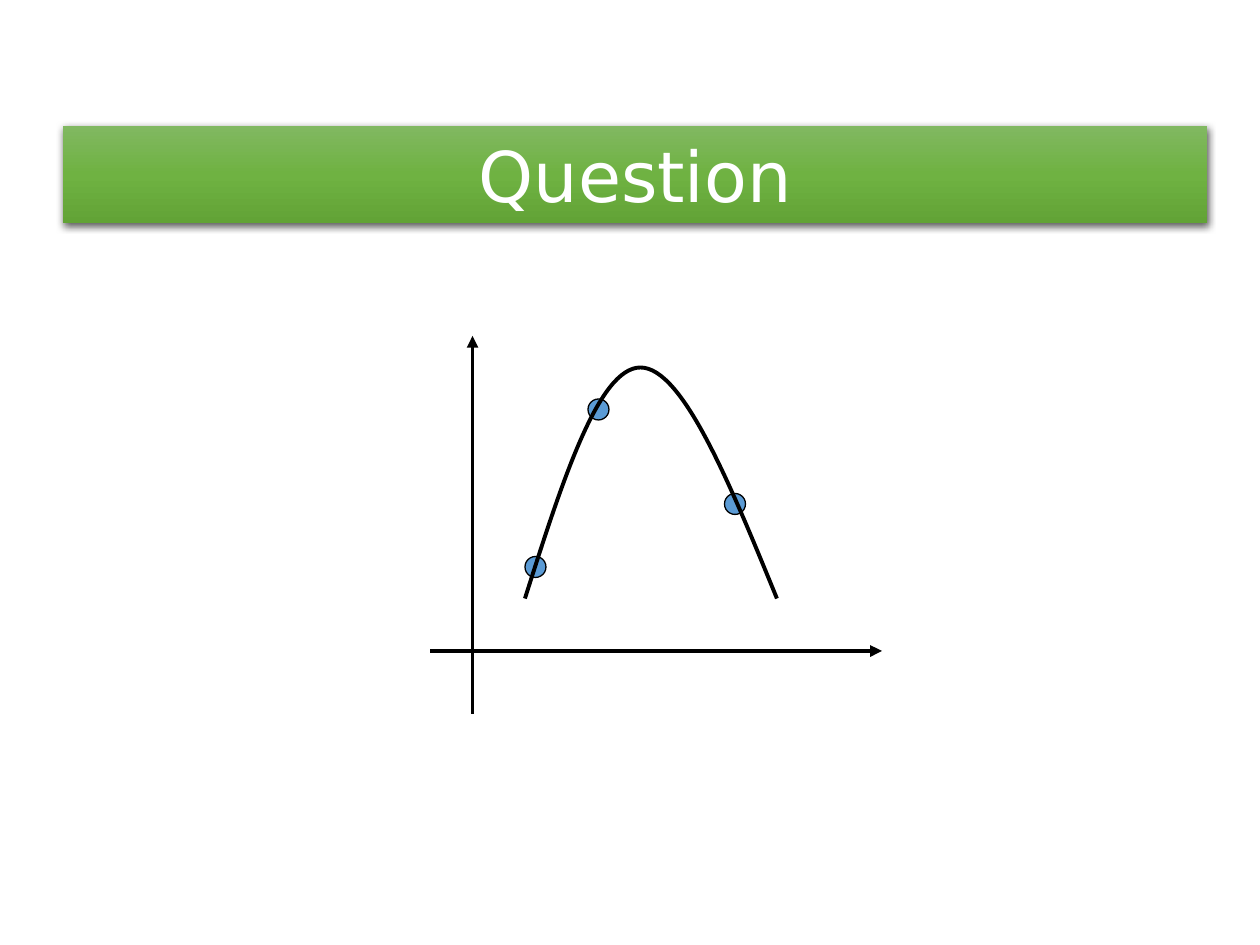
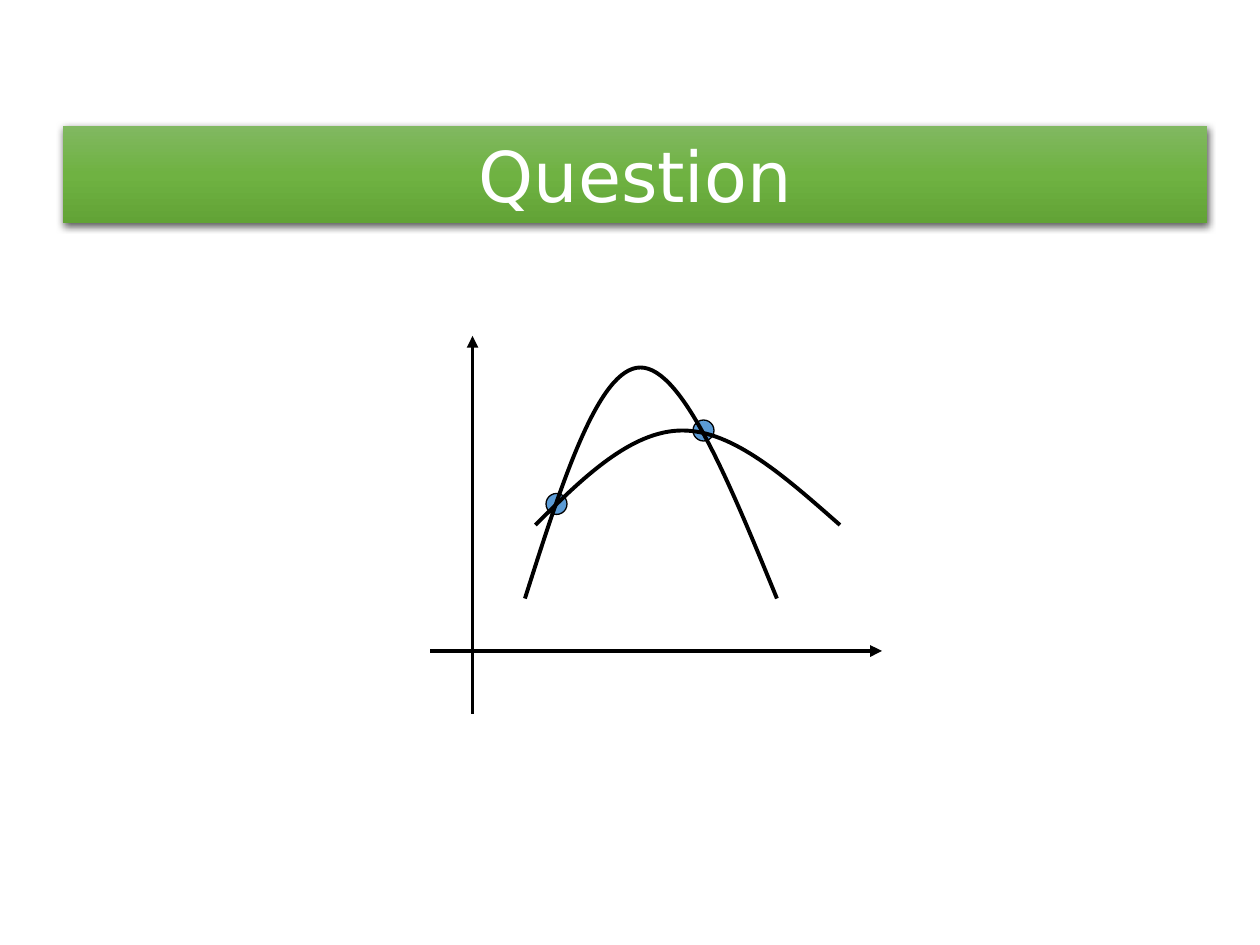
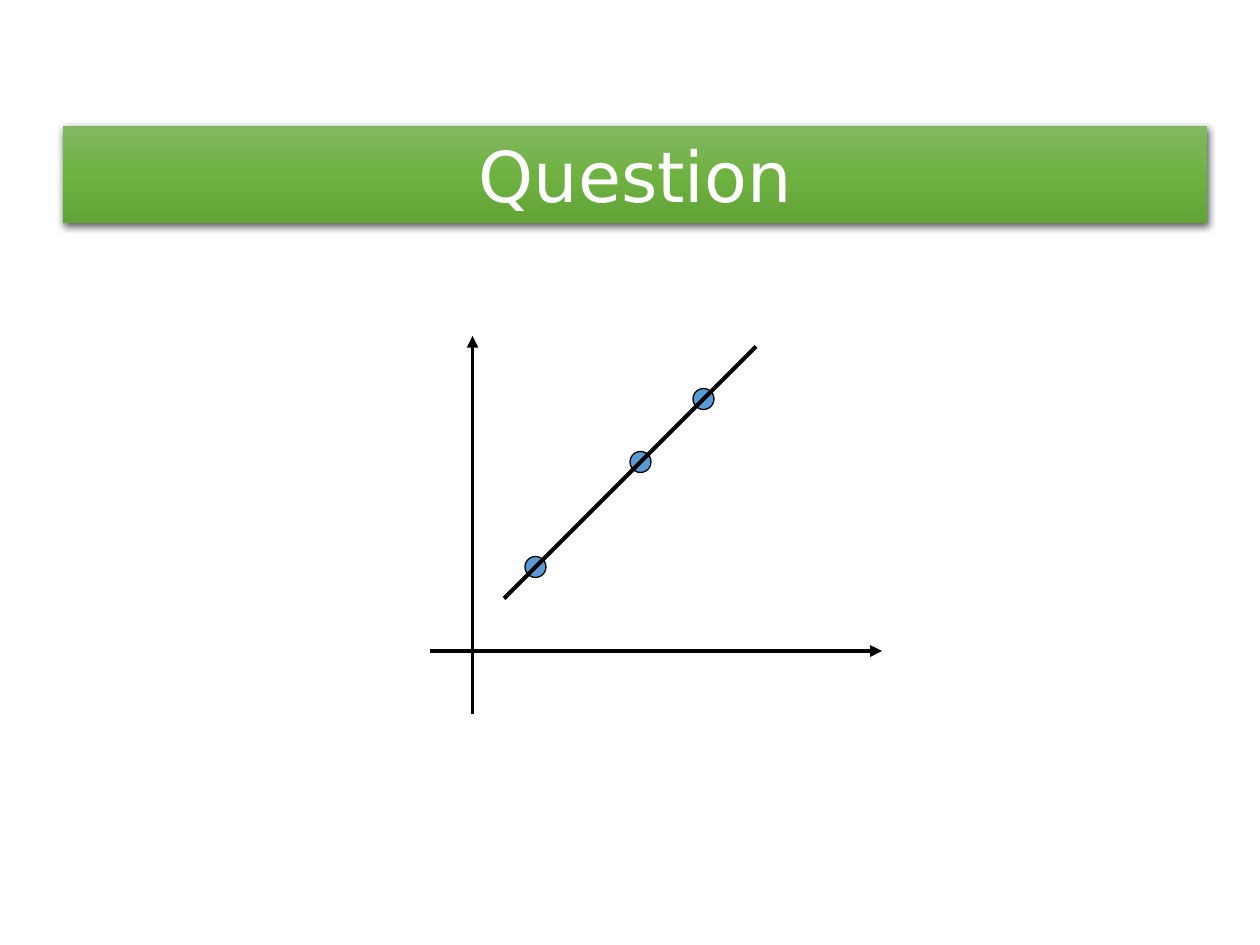
"""Build three question slides, each with a title band above a sketched graph."""
import copy
import dataclasses

import lxml.etree
import pptx
import pptx.dml.color
import pptx.enum.shapes
import pptx.enum.text
import pptx.oxml.ns
import pptx.shapes.connector
import pptx.slide
import pptx.util

PX = 9525
FONT = "DejaVu Sans"
DOT_SIZE = 16
COLORS = {
    "ink": "000000",
    "dot": "5B9BD5",
    "title": "FFFFFF",
    "band_top": "81B861",
    "band_middle": "6FB242",
    "band_bottom": "62A336",
}
BAND_STOPS = ((0, "band_top"), (0.5, "band_middle"), (1, "band_bottom"))
Point = tuple[int, int]


@dataclasses.dataclass(frozen=True)
class Segment:
    """A straight line, with an optional arrowhead at its end."""

    start: Point
    end: Point
    arrow: bool = False


@dataclasses.dataclass(frozen=True)
class Hill:
    """A curve rising from foot to peak and back, with seven control abscissas."""

    xs: tuple[int, ...]
    foot: int
    peak: int


@dataclasses.dataclass(frozen=True)
class Graph:
    """The dot centres and the lines of one slide."""

    dots: tuple[Point, ...]
    hills: tuple[Hill, ...] = ()
    segments: tuple[Segment, ...] = ()


AXES = (
    Segment((328, 496), (672, 496), arrow=True),
    Segment((360, 544), (360, 256), arrow=True),
)
STEEP = Hill((400, 428, 456, 488, 520, 556, 592), foot=456, peak=280)
FLAT = Hill((408, 444, 481, 520, 559, 599, 640), foot=400, peak=328)
GRAPHS = (
    Graph(dots=((456, 312), (408, 432), (560, 384)), hills=(STEEP,)),
    Graph(dots=((424, 384), (536, 328)), hills=(STEEP, FLAT)),
    Graph(
        dots=((488, 352), (408, 432), (536, 304)),
        segments=(Segment((384, 456), (576, 264)),),
    ),
)


def color(name: str) -> pptx.dml.color.RGBColor:
    """Return a named colour."""
    return pptx.dml.color.RGBColor.from_string(COLORS[name])


def add_child(parent: lxml.etree._Element, tag: str, **attributes: str) -> lxml.etree._Element:
    """Append a DrawingML element."""
    return lxml.etree.SubElement(parent, pptx.oxml.ns.qn(tag), attributes)


def draw_band(page: pptx.slide.Slide, title: str) -> None:
    """Draw the shaded title band."""
    band = page.shapes.add_shape(
        pptx.enum.shapes.MSO_SHAPE.RECTANGLE, 48 * PX, 96 * PX, 872 * PX, 74 * PX
    )
    band.line.fill.background()
    band.fill.gradient()
    band.fill.gradient_angle = 270
    stops = band.element.xpath(".//a:gsLst")[0]
    stops.insert(1, copy.deepcopy(stops[0]))
    for stop, (position, name) in zip(band.fill.gradient_stops, BAND_STOPS):
        stop.position = position
        stop.color.rgb = color(name)

    band.shadow.inherit = False
    effects = band.element.xpath("./p:spPr/a:effectLst")[0]
    shadow = add_child(
        effects, "a:outerShdw", blurRad="57150", dist="19050",
        dir="5400000", algn="ctr", rotWithShape="0",
    )
    shade = add_child(shadow, "a:srgbClr", val=COLORS["ink"])
    add_child(shade, "a:alpha", val="63000")

    frame = band.text_frame
    frame.word_wrap = True
    frame.auto_size = pptx.enum.text.MSO_AUTO_SIZE.SHAPE_TO_FIT_TEXT
    para = frame.paragraphs[0]
    para.text = title
    para.alignment = pptx.enum.text.PP_ALIGN.CENTER
    para.space_after = pptx.util.Pt(6)
    para.font.name = FONT
    para.font.size = pptx.util.Pt(40)
    para.font.color.rgb = color("title")


def draw_segment(page: pptx.slide.Slide, segment: Segment) -> None:
    """Draw a straight line or an arrow."""
    ends = (length * PX for length in segment.start + segment.end)
    line = page.shapes.add_connector(pptx.enum.shapes.MSO_CONNECTOR.STRAIGHT, *ends)
    line.line.color.rgb = color("ink")
    line.line.width = pptx.util.Pt(2.25)
    if segment.arrow:
        add_child(line.line._get_or_add_ln(), "a:tailEnd", type="triangle")
    add_child(line.element.spPr, "a:effectLst")


def draw_dot(page: pptx.slide.Slide, center: Point) -> None:
    """Draw a dot around its centre."""
    left, top = ((length - DOT_SIZE // 2) * PX for length in center)
    dot = page.shapes.add_shape(
        pptx.enum.shapes.MSO_SHAPE.OVAL, left, top, DOT_SIZE * PX, DOT_SIZE * PX
    )
    dot.shadow.inherit = False
    dot.fill.solid()
    dot.fill.fore_color.rgb = color("dot")
    dot.line.color.rgb = color("ink")
    dot.line.width = pptx.util.Pt(0.75)


def draw_hill(page: pptx.slide.Slide, hill: Hill) -> None:
    """Draw a smooth curve of two Bezier pieces that meet at the peak."""
    middle = (hill.foot + hill.peak) // 2
    ys = (hill.foot, middle, hill.peak, hill.peak, hill.peak, middle, hill.foot)
    points = list(zip(hill.xs, ys))
    builder = page.shapes.build_freeform(*points[0], scale=PX)
    builder.add_line_segments([points[3], points[6]], close=False)
    curve = builder.convert_to_shape()
    for piece, first in zip(curve.element.xpath(".//a:lnTo"), (1, 4)):
        piece.tag = pptx.oxml.ns.qn("a:cubicBezTo")
        for index, (x, y) in enumerate(points[first:first + 2]):
            handle = add_child(
                piece, "a:pt", x=str(x - hill.xs[0]), y=str(y - hill.peak)
            )
            piece.insert(index, handle)
    curve.shadow.inherit = False
    curve.fill.background()
    curve.line.color.rgb = color("ink")
    curve.line.width = pptx.util.Pt(2.25)


def draw_graph(page: pptx.slide.Slide, graph: Graph) -> None:
    """Draw the axes, the dots and the lines through them."""
    for axis in AXES:
        draw_segment(page, axis)
    for center in graph.dots:
        draw_dot(page, center)
    for hill in graph.hills:
        draw_hill(page, hill)
    for segment in graph.segments:
        draw_segment(page, segment)


def main() -> None:
    """Build and save the deck."""
    deck = pptx.Presentation()
    deck.slide_width = 960 * PX
    deck.slide_height = 720 * PX
    for graph in GRAPHS:
        page = deck.slides.add_slide(deck.slide_layouts[6])
        draw_band(page, "Question")
        draw_graph(page, graph)
    deck.save("out.pptx")


if __name__ == "__main__":
    main()
